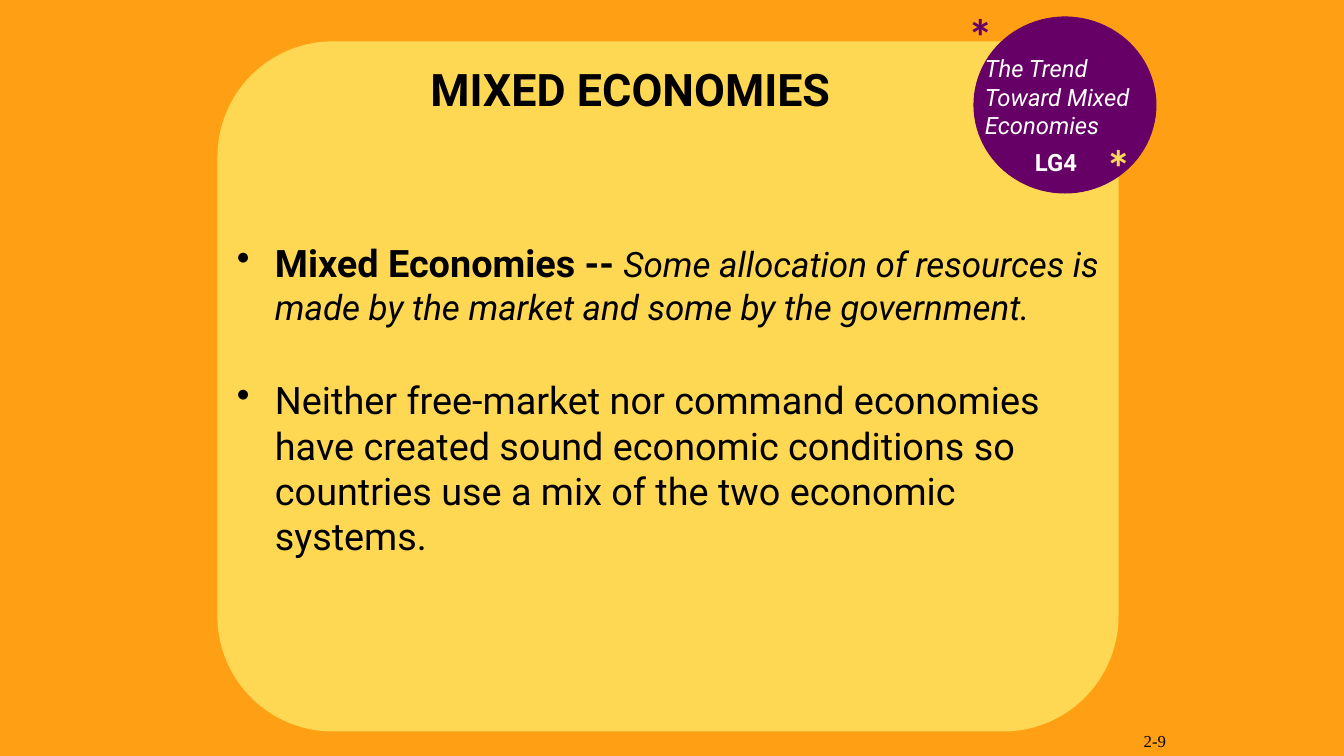
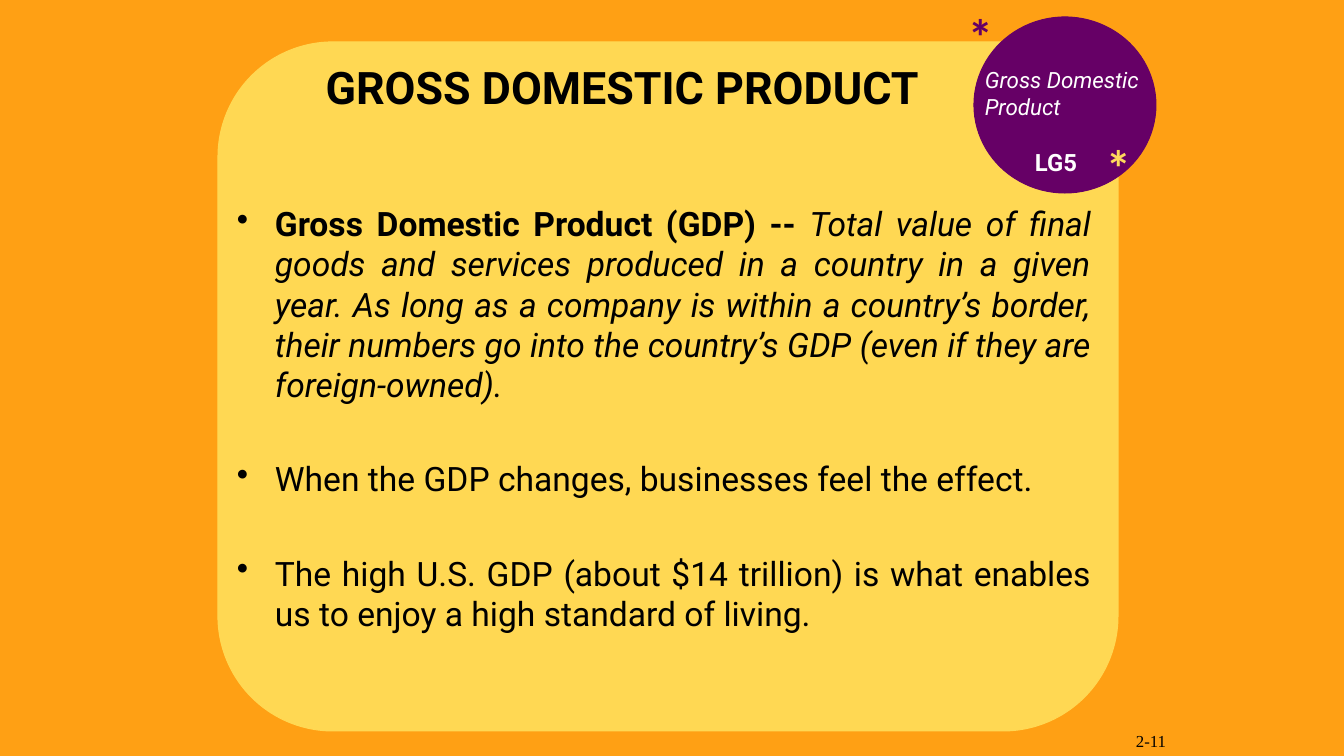
from dataclasses import dataclass
from typing import NamedTuple

from lxml.etree import SubElement
from pptx import Presentation
from pptx.dml.color import RGBColor
from pptx.enum.shapes import MSO_SHAPE as Form
from pptx.enum.text import MSO_ANCHOR as Anchor, PP_ALIGN as Align
from pptx.oxml.ns import qn
from pptx.slide import Slide
from pptx.util import Emu, Pt

SCALE = 12192000 / 1344
INDENT = 38
COLORS = {
    "back": "FFA014",
    "panel": "FFD853",
    "badge": "660066",
    "star": "FFD95C",
    "ink": "000000",
    "white": "FFFFFF",
}


class Box(NamedTuple):
    """Left, top, width and height in pixels."""
    x: int
    y: int
    w: int
    h: int


class Run(NamedTuple):
    """A stretch of text with its own format."""
    text: str
    size: int
    bold: bool = False
    slant: bool = False


@dataclass(frozen=True)
class Shape:
    """A plain filled shape."""
    form: Form
    box: Box
    color: str


@dataclass(frozen=True)
class Star:
    """An asterisk beside the badge."""
    box: Box
    color: str


@dataclass(frozen=True)
class Page:
    """What differs from slide to slide."""
    title: str
    head: Box
    topic: Run
    label: Box
    goal: str
    body: Box
    items: list[list[Run]]
    gap: float
    align: Align
    number: str


SHAPES = [
    Shape(Form.ROUNDED_RECTANGLE, Box(218, 42, 900, 689), "panel"),
    Shape(Form.OVAL, Box(974, 17, 182, 176), "badge"),
]
STARS = [
    Star(Box(1096, 131, 55, 71), "star"),
    Star(Box(958, 0, 68, 71), "badge"),
]
GOAL = Box(1025, 143, 76, 38)
NUMBER = Box(966, 706, 210, 50)

PAGES = [
    Page(
        title="MIXED ECONOMIES",
        head=Box(202, 8, 857, 162),
        topic=Run("The Trend Toward Mixed Economies", 17, slant=True),
        label=Box(975, 49, 180, 97),
        goal="LG4",
        body=Box(227, 235, 890, 287),
        items=[
            [Run("Mixed Economies -- ", 27, bold=True),
             Run("Some allocation of resources is made by the market and "
                 "some by the government.", 25, slant=True)],
            [Run("Neither free-market nor command economies have created "
                 "sound economic conditions so countries use a mix of the "
                 "two economic systems.", 27)],
        ],
        gap=35.4,
        align=Align.LEFT,
        number="2-9",
    ),
    Page(
        title="GROSS DOMESTIC PRODUCT",
        head=Box(194, 6, 857, 162),
        topic=Run("Gross Domestic Product", 16, slant=True),
        label=Box(975, 61, 180, 65),
        goal="LG5",
        body=Box(227, 198, 874, 450),
        items=[
            [Run("Gross Domestic Product (GDP) -- ", 24, bold=True),
             Run("Total value of final goods and services produced in a "
                 "country in a given year. As long as a company is within a "
                 "country’s border, their numbers go into the country’s GDP "
                 "(even if they are foreign-owned).", 24, slant=True)],
            [Run("When the GDP changes, businesses feel the effect.", 24)],
            [Run("The high U.S. GDP (about $14 trillion) is what enables us "
                 "to enjoy a high standard of living.", 24)],
        ],
        gap=38.4,
        align=Align.JUSTIFY,
        number="2-11",
    ),
]


def px(n: float) -> Emu:
    """Turn pixels into EMU."""
    return Emu(round(n * SCALE))


def place(box: Box) -> list[Emu]:
    """Turn a box into EMU lengths."""
    return [px(n) for n in box]


def rgb(name: str) -> RGBColor:
    """Look up a named colour."""
    return RGBColor.from_string(COLORS[name])


def add_form(slide: Slide, item: Shape) -> None:
    """Draw a filled shape with a line of the same colour."""
    shape = slide.shapes.add_shape(item.form, *place(item.box))
    shape.shadow.inherit = False
    shape.fill.solid()
    shape.fill.fore_color.rgb = rgb(item.color)
    shape.line.color.rgb = rgb(item.color)
    shape.line.width = Pt(0.75)


def add_text(slide: Slide, box: Box, *paras: list[Run], color: str = "ink",
             font: str = "Roboto", align: Align = Align.LEFT,
             anchor: Anchor = Anchor.TOP, gap: float = 0,
             bullet: bool = False) -> None:
    """Add a text box with one paragraph for each list of runs."""
    frame = slide.shapes.add_textbox(*place(box)).text_frame
    frame.word_wrap = True
    frame.vertical_anchor = anchor
    for i, runs in enumerate(paras):
        para = frame.add_paragraph() if i else frame.paragraphs[0]
        para.alignment = align
        para.space_after = Pt(gap)
        if bullet:
            props = para._p.get_or_add_pPr()
            props.set("marL", str(px(INDENT)))
            props.set("indent", str(-px(INDENT)))
            SubElement(props, qn("a:buChar")).set("char", "•")
        for item in runs:
            run = para.add_run()
            run.text = item.text
            run.font.name = font
            run.font.size = Pt(item.size)
            run.font.bold = item.bold
            run.font.italic = item.slant
            run.font.color.rgb = rgb(color)


def add_frame(slide: Slide) -> None:
    """Draw the background, panel, badge and stars."""
    slide.background.fill.solid()
    slide.background.fill.fore_color.rgb = rgb("back")
    for shape in SHAPES:
        add_form(slide, shape)
    for star in STARS:
        add_text(slide, star.box, [Run("*", 36, bold=True)],
                 color=star.color, font="Calibri")


def add_page(slide: Slide, page: Page) -> None:
    """Fill one slide."""
    add_frame(slide)
    add_text(slide, page.label, [page.topic], color="white")
    add_text(slide, page.body, *page.items, align=page.align, gap=page.gap,
             bullet=True)
    add_text(slide, page.head, [Run(page.title, 32, bold=True)],
             align=Align.CENTER, anchor=Anchor.MIDDLE)
    add_text(slide, GOAL, [Run(page.goal, 17, bold=True)], color="white")
    add_text(slide, NUMBER, [Run(page.number, 12)], font="Times New Roman",
             align=Align.RIGHT, anchor=Anchor.BOTTOM)


def main() -> None:
    """Build and save the slides."""
    deck = Presentation()
    deck.slide_width, deck.slide_height = px(1344), px(756)
    blank = deck.slide_layouts[6]
    for page in PAGES:
        add_page(deck.slides.add_slide(blank), page)
    deck.save("out.pptx")


main()
